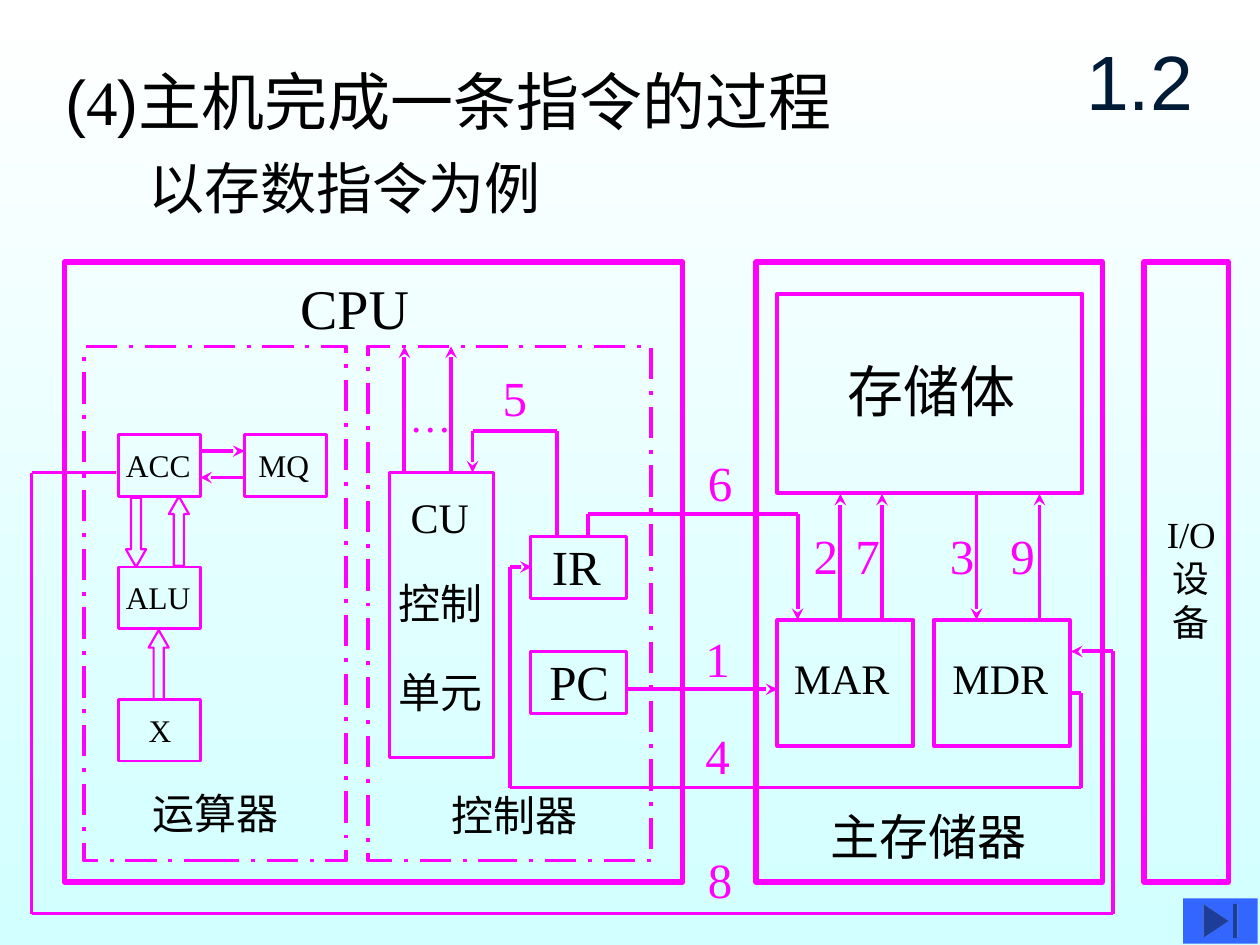
from itertools import pairwise

from lxml.etree import SubElement
from pptx import Presentation
from pptx.dml.color import RGBColor
from pptx.enum.dml import MSO_LINE
from pptx.enum.shapes import MSO_CONNECTOR, MSO_SHAPE
from pptx.enum.text import MSO_ANCHOR, MSO_AUTO_SIZE, PP_ALIGN
from pptx.oxml.ns import qn
from pptx.util import Inches, Pt

MAGENTA = RGBColor(0xFF, 0x00, 0xFF)
BLACK = RGBColor(0x00, 0x00, 0x00)
NAVY = RGBColor(0x00, 0x1B, 0x36)
BLUE = RGBColor(0x33, 0x66, 0xFF)
WHITE = RGBColor(0xFF, 0xFF, 0xFF)
PALE_CYAN = RGBColor(0xD2, 0xFF, 0xFF)
SERIF = "Times New Roman"
SANS = "Arial"


def paint_background(slide):
    fill = slide.background.fill
    fill.gradient()
    fill.gradient_angle = 270
    for stop, color, position in zip(fill.gradient_stops, (WHITE, PALE_CYAN), (0, 1)):
        stop.color.rgb = color
        stop.position = position


def add_text(slide, paragraphs, left, top, width, height, size=24, font=SERIF,
             color=BLACK, align=PP_ALIGN.LEFT, wrap=True, padded=False,
             anchor=MSO_ANCHOR.TOP):
    box = slide.shapes.add_textbox(Inches(left), Inches(top), Inches(width), Inches(height))
    frame = box.text_frame
    frame.word_wrap = wrap
    frame.auto_size = MSO_AUTO_SIZE.SHAPE_TO_FIT_TEXT
    frame.vertical_anchor = anchor
    frame.margin_left = frame.margin_right = Inches(0.1 if padded else 0)
    frame.margin_top = frame.margin_bottom = Inches(0.05 if padded else 0)
    for index, runs in enumerate(paragraphs):
        paragraph = frame.add_paragraph() if index else frame.paragraphs[0]
        paragraph.alignment = align
        for words, run_font in runs if isinstance(runs, list) else [(runs, font)]:
            run = paragraph.add_run()
            run.text = words
            run.font.name = run_font
            run.font.size = Pt(size)
            run.font.color.rgb = color


def outline(shape, weight):
    shape.shadow.inherit = False
    shape.fill.background()
    shape.line.color.rgb = MAGENTA
    shape.line.width = Pt(weight)


def add_frame(slide, left, top, width, height, weight=2.25, dash=None):
    frame = slide.shapes.add_shape(
        MSO_SHAPE.RECTANGLE, Inches(left), Inches(top), Inches(width), Inches(height))
    outline(frame, weight)
    if dash:
        frame.line.dash_style = dash


def add_route(slide, *points, arrow=True):
    segments = list(pairwise(points))
    for number, (start, end) in enumerate(segments, 1):
        wire = slide.shapes.add_connector(
            MSO_CONNECTOR.STRAIGHT, *(Inches(value) for value in start + end))
        wire.line.color.rgb = MAGENTA
        wire.line.width = Pt(2.25)
        if arrow and number == len(segments):
            SubElement(wire.line._get_or_add_ln(), qn("a:tailEnd"), type="stealth")
        SubElement(wire._element.spPr, qn("a:effectLst"))


def add_block_arrow(slide, center, tip, base):
    neck = tip + (0.14 if base > tip else -0.14)
    vertices = [(-0.08, neck), (-0.04, neck), (-0.04, base), (0.04, base),
                (0.04, neck), (0.08, neck)]
    builder = slide.shapes.build_freeform(Inches(center), Inches(tip))
    builder.add_line_segments(
        [(Inches(center + offset), Inches(y)) for offset, y in vertices], close=True)
    outline(builder.convert_to_shape(), 1.25)


def add_step(slide, number, left, top):
    add_text(slide, [number], left, top, 0.39, 0.57, size=28, color=MAGENTA,
             align=PP_ALIGN.CENTER, wrap=False, padded=True)


def add_button(slide):
    button = slide.shapes.add_shape(
        MSO_SHAPE.ACTION_BUTTON_END, Inches(9.39), Inches(7.13), Inches(0.59), Inches(0.36))
    button.shadow.inherit = False
    button.fill.solid()
    button.fill.fore_color.rgb = BLUE
    button.line.fill.background()


def add_headings(slide):
    add_text(slide, [[("(", SANS), ("4", SERIF), (")主机完成一条指令的过程", SANS)]],
             0.42, 0.45, 7.25, 0.7, size=36, padded=True)
    add_text(slide, ["以存数指令为例"], 1.08, 1.17, 5.26, 0.64,
             size=32, font=SANS, padded=True)
    add_text(slide, ["1.2"], 8.42, 0.17, 1.25, 0.92, size=44, font=SANS, color=NAVY,
             align=PP_ALIGN.CENTER, padded=True, anchor=MSO_ANCHOR.MIDDLE)


def add_units(slide):
    for left, width in ((0.51, 4.91), (6, 2.75), (9.08, 0.67)):
        add_frame(slide, left, 2.08, width, 4.92, weight=3)
    for left, width in ((0.67, 2.08), (2.92, 2.25)):
        add_frame(slide, left, 2.75, width, 4.08, dash=MSO_LINE.LONG_DASH_DOT)
    add_frame(slide, 6.17, 2.33, 2.42, 1.58)
    for left in (6.17, 7.41):
        add_frame(slide, left, 4.92, 1.08, 1)
    add_frame(slide, 3.09, 3.75, 0.83, 2.26, weight=1.64)
    for top in (4.26, 5.17):
        add_frame(slide, 4.21, top, 0.76, 0.49, weight=1.64)
    for left, top in ((0.94, 3.45), (1.94, 3.45), (0.94, 4.5), (0.94, 5.55)):
        add_frame(slide, left, top, 0.65, 0.49, weight=1.64)


def add_unit_names(slide):
    centered = {"align": PP_ALIGN.CENTER, "wrap": False}
    add_text(slide, ["CPU"], 2.33, 2.17, 0.97, 0.53, size=32, **centered)
    add_text(slide, ["存储体"], 6.53, 2.78, 1.73, 0.64, size=32, font=SANS,
             padded=True, **centered)
    add_text(slide, ["I/O", "设", "备"], 9.21, 4.06, 0.49, 1.05, size=21, **centered)
    add_text(slide, ["ALU"], 0.95, 4.59, 0.61, 0.3, size=18, **centered)
    add_text(slide, ["…"], 3.15, 3.05, 0.53, 0.5, color=MAGENTA, wrap=False, padded=True)
    for name, left, top, width, size, font in (
        ("ACC", 1, 3.54, 0.93, 18, SERIF),
        ("MQ", 2.05, 3.54, 0.72, 18, SERIF),
        ("X", 1.18, 5.64, 0.46, 18, SERIF),
        ("CU", 3.26, 3.9, 0.99, 24, SERIF),
        ("控制", 3.16, 4.58, 1.03, 24, SANS),
        ("单元", 3.16, 5.29, 0.9, 24, SANS),
        ("IR", 4.38, 4.26, 1.04, 28, SERIF),
        ("PC", 4.36, 5.17, 1.14, 28, SERIF),
        ("MAR", 6.3, 5.18, 1.09, 24, SERIF),
        ("MDR", 7.56, 5.18, 1, 24, SERIF),
        ("运算器", 1.21, 6.25, 1.36, 24, SANS),
        ("控制器", 3.58, 6.27, 1.42, 24, SANS),
        ("主存储器", 6.59, 6.4, 1.85, 28, SANS),
    ):
        add_text(slide, [name], left, top, width, size / 60, size=size, font=font)


def add_data_paths(slide):
    for x in (3.21, 3.58):
        add_route(slide, (x, 3.75), (x, 2.75))
    for x in (6.67, 7, 8.25):
        add_route(slide, (x, 4.92), (x, 3.92))
    add_route(slide, (7.75, 3.92), (7.75, 4.92))
    add_route(slide, (1.59, 3.58), (1.94, 3.58))
    add_route(slide, (1.94, 3.79), (1.59, 3.79))
    add_route(slide, (4.98, 5.47), (6.17, 5.47))
    add_route(slide, (8.5, 5.5), (8.58, 5.5), (8.58, 6.25), (4.05, 6.25),
              (4.05, 4.5), (4.22, 4.5))
    add_route(slide, (4.42, 4.25), (4.42, 3.42), (3.75, 3.42), (3.75, 3.75))
    add_route(slide, (4.67, 4.25), (4.67, 4.08), (6.33, 4.08), (6.33, 4.92))
    add_route(slide, (0.92, 3.75), (0.25, 3.75), (0.25, 7.25), (8.83, 7.25),
              (8.83, 5.17), (8.5, 5.17))
    add_block_arrow(slide, 1.08, tip=4.5, base=3.95)
    add_block_arrow(slide, 1.42, tip=3.94, base=4.49)
    add_block_arrow(slide, 1.26, tip=5, base=5.55)


def main():
    deck = Presentation()
    deck.slide_width, deck.slide_height = Inches(10), Inches(7.5)
    slide = deck.slides.add_slide(deck.slide_layouts[6])
    paint_background(slide)
    add_headings(slide)
    add_units(slide)
    add_unit_names(slide)
    add_data_paths(slide)
    for number, left, top in (
        ("1", 5.5, 4.94), ("2", 6.36, 4.12), ("3", 7.44, 4.12), ("4", 5.5, 5.71),
        ("5", 3.89, 2.87), ("6", 5.52, 3.54), ("7", 6.69, 4.12), ("8", 5.52, 6.69),
        ("9", 7.92, 4.12),
    ):
        add_step(slide, number, left, top)
    add_button(slide)
    deck.save("out.pptx")


if __name__ == "__main__":
    main()
